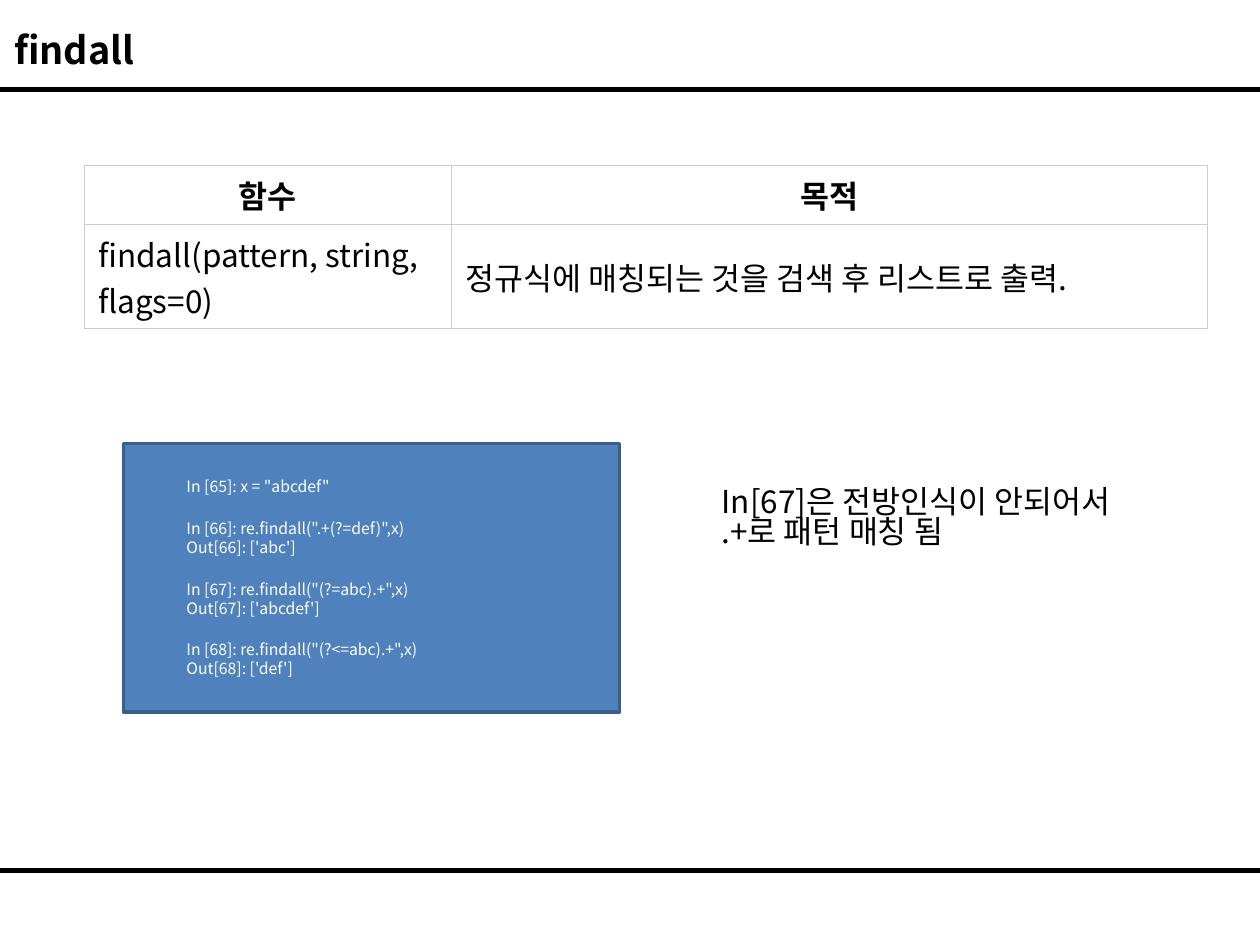
from dataclasses import dataclass

from lxml import etree
from pptx import Presentation
from pptx import util as u
from pptx.dml.color import RGBColor
from pptx.enum import shapes, text
from pptx.oxml import ns


@dataclass(frozen=True)
class Theme:
    font: str = "Noto Sans CJK KR"
    ink: str = "000000"
    paper: str = "FFFFFF"
    grid: str = "CCCCCC"
    code_fill: str = "4F81BD"
    code_line: str = "3A5F8C"
    title_size: float = 21.6
    body_size: float = 18
    code_size: float = 9
    rule_width: float = 2.75
    grid_width: float = 0.6


@dataclass(frozen=True)
class Box:
    """Position and size in centimetres."""
    left: float
    top: float
    width: float
    height: float

    def lengths(self) -> tuple:
        return tuple(u.Cm(v) for v in (self.left, self.top, self.width, self.height))


THEME = Theme()
SLIDE_WIDTH, SLIDE_HEIGHT = 25.4, 19.05
RULE_TOPS = (1.8, 17.55)
TITLE_BOX = Box(0.03, 0.41, 25.1, 1.17)
TABLE_BOX = Box(1.7, 3.33, 22.64, 3.3)
CODE_BOX = Box(2.49, 8.94, 10, 5.41)
NOTE_BOX = Box(14.3, 9.73, 8.41, 1.8)
COLUMN_WIDTHS = (7.4, 15.24)
ROW_HEIGHTS = (1.19, 2.11)

TABLE_ROWS = (
    ("함수", "목적"),
    ("findall(pattern, string, flags=0)", "정규식에 매칭되는 것을 검색 후 리스트로 출력."),
)
# Each group is one console exchange
CODE_GROUPS = (
    ('In [65]: x = "abcdef"',),
    ('In [66]: re.findall(".+(?=def)",x)', "Out[66]: ['abc']"),
    ('In [67]: re.findall("(?=abc).+",x)', "Out[67]: ['abcdef']"),
    ('In [68]: re.findall("(?<=abc).+",x)', "Out[68]: ['def']"),
)


def rgb(value: str) -> RGBColor:
    return RGBColor.from_string(value)


def write(paragraph, words: str, *, size: float = THEME.body_size,
          color: str = THEME.ink, bold: bool = False,
          align=text.PP_ALIGN.LEFT, spacing: float = 1.0,
          before: float = 0) -> None:
    paragraph.alignment = align
    paragraph.line_spacing = spacing
    paragraph.space_before = u.Pt(before)
    run = paragraph.add_run()
    run.text = words
    run.font.size = u.Pt(size)
    run.font.bold = bold
    run.font.color.rgb = rgb(color)
    run.font.name = THEME.font
    # Hangul takes the East Asian font
    etree.SubElement(run.font._element, ns.qn("a:ea"), typeface=THEME.font)


def add_rule(slide, top: float) -> None:
    rule = slide.shapes.add_connector(
        shapes.MSO_CONNECTOR.STRAIGHT, 0, u.Cm(top), u.Cm(SLIDE_WIDTH), u.Cm(top))
    rule.line.color.rgb = rgb(THEME.ink)
    rule.line.width = u.Pt(THEME.rule_width)
    etree.SubElement(rule._element.spPr, ns.qn("a:effectLst"))


def add_title(slide, words: str) -> None:
    title = slide.shapes.title
    title.left, title.top, title.width, title.height = TITLE_BOX.lengths()
    title.text_frame.vertical_anchor = text.MSO_ANCHOR.MIDDLE
    write(title.text_frame.paragraphs[0], words, size=THEME.title_size, bold=True)


def format_cell(cell) -> None:
    properties = cell._tc.get_or_add_tcPr()
    for side in ("lnL", "lnR", "lnT", "lnB"):
        border = etree.SubElement(properties, ns.qn(f"a:{side}"),
                                  w=str(int(u.Pt(THEME.grid_width))))
        fill = etree.SubElement(border, ns.qn("a:solidFill"))
        etree.SubElement(fill, ns.qn("a:srgbClr"), val=THEME.grid)
    cell.fill.solid()
    cell.fill.fore_color.rgb = rgb(THEME.paper)
    cell.vertical_anchor = text.MSO_ANCHOR.MIDDLE
    cell.margin_left = cell.margin_right = u.Cm(0.28)
    cell.margin_top = cell.margin_bottom = u.Cm(0.13)


def add_function_table(slide) -> None:
    table = slide.shapes.add_table(
        len(TABLE_ROWS), len(COLUMN_WIDTHS), *TABLE_BOX.lengths()).table
    table.first_row = table.horz_banding = False
    for column, width in zip(table.columns, COLUMN_WIDTHS):
        column.width = u.Cm(width)
    for index, (row, height) in enumerate(zip(table.rows, ROW_HEIGHTS)):
        row.height = u.Cm(height)
        header = index == 0
        align = text.PP_ALIGN.CENTER if header else text.PP_ALIGN.LEFT
        for cell, words in zip(row.cells, TABLE_ROWS[index]):
            format_cell(cell)
            write(cell.text_frame.paragraphs[0], words, bold=header, align=align)


def add_code(slide) -> None:
    shape = slide.shapes.add_shape(shapes.MSO_SHAPE.RECTANGLE, *CODE_BOX.lengths())
    shape.shadow.inherit = False
    shape.fill.solid()
    shape.fill.fore_color.rgb = rgb(THEME.code_fill)
    shape.line.color.rgb = rgb(THEME.code_line)
    shape.line.width = u.Pt(2)
    frame = shape.text_frame
    frame.word_wrap = True
    frame.vertical_anchor = text.MSO_ANCHOR.MIDDLE
    frame.margin_left = u.Cm(1.27)
    paragraph = frame.paragraphs[0]
    for group_index, group in enumerate(CODE_GROUPS):
        for line_index, line in enumerate(group):
            if group_index or line_index:
                paragraph = frame.add_paragraph()
            # One line of space opens every group but the first
            before = 13 if group_index and not line_index else 0
            write(paragraph, line, size=THEME.code_size, color=THEME.paper, before=before)


def add_note(slide, words: str) -> None:
    frame = slide.shapes.add_textbox(*NOTE_BOX.lengths()).text_frame
    frame.word_wrap = True
    write(frame.paragraphs[0], words, spacing=0.8)


def main() -> None:
    presentation = Presentation()
    presentation.slide_width = u.Cm(SLIDE_WIDTH)
    presentation.slide_height = u.Cm(SLIDE_HEIGHT)
    slide = presentation.slides.add_slide(presentation.slide_layouts[5])

    # Frame of the page
    for top in RULE_TOPS:
        add_rule(slide, top)
    add_title(slide, "findall")

    # Description, console session and remark
    add_function_table(slide)
    add_code(slide)
    add_note(slide, "In[67]은 전방인식이 안되어서 .+로 패턴 매칭 됨")

    presentation.save("out.pptx")


if __name__ == "__main__":
    main()
